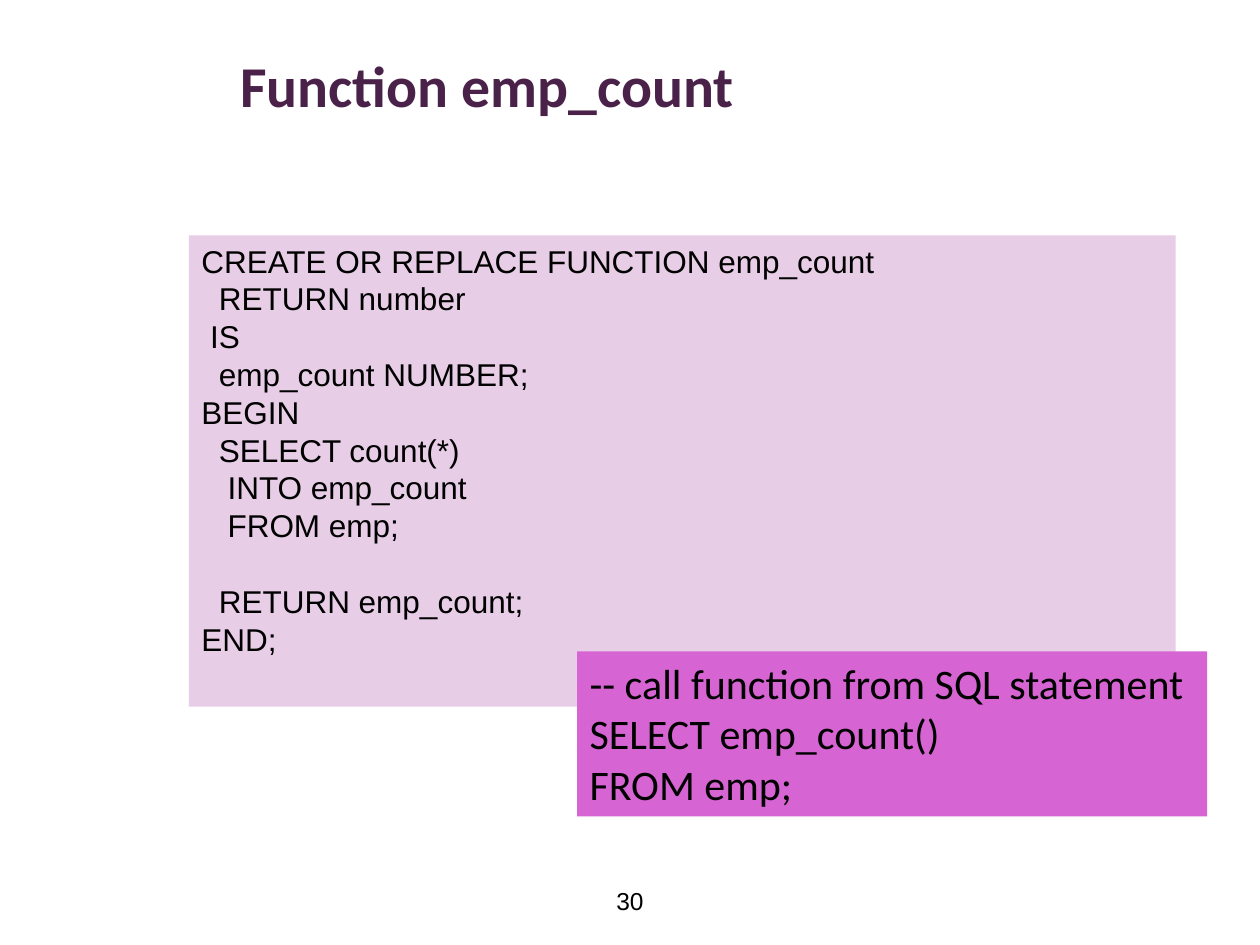
from pptx import Presentation
from pptx.dml.color import RGBColor
from pptx.enum.shapes import MSO_SHAPE
from pptx.enum.text import MSO_ANCHOR, PP_ALIGN
from pptx.util import Pt

PLUM = RGBColor(0x4A, 0x22, 0x49)
LILAC = RGBColor(0xE8, 0xCD, 0xE7)
ORCHID = RGBColor(0xD6, 0x65, 0xD3)
BLACK = RGBColor(0, 0, 0)

CODE_LEADING = 21.6
INDENT_STEP = 5

# (indent steps, statement, blank lines above)
FUNCTION_CODE = [
    (0, "CREATE OR REPLACE FUNCTION emp_count", 0),
    (2, "RETURN number", 0),
    (1, "IS", 0),
    (2, "emp_count NUMBER;", 0),
    (0, "BEGIN", 0),
    (2, "SELECT count(*)", 0),
    (3, "INTO emp_count", 0),
    (3, "FROM emp;", 0),
    (2, "RETURN emp_count;", 1),
    (0, "END;", 0),
]
CALL_CODE = [
    "-- call function from SQL statement",
    "SELECT emp_count()",
    "FROM emp;",
]


def style(paragraph, font_name, size, color=BLACK, bold=False):
    font = paragraph.font
    font.name, font.size, font.bold = font_name, Pt(size), bold
    font.color.rgb = color


def add_label(slide, box, text, font_name, size, color=BLACK, bold=False):
    """Add one vertically centred line of text and return its paragraph."""
    frame = slide.shapes.add_textbox(*map(Pt, box)).text_frame
    frame.word_wrap = True
    frame.vertical_anchor = MSO_ANCHOR.MIDDLE
    line = frame.paragraphs[0]
    line.text = text
    style(line, font_name, size, color, bold)
    return line


def add_code_panel(slide, box, fill, lines, font_name, size):
    """Add a filled panel with one paragraph per line and return the paragraphs."""
    panel = slide.shapes.add_shape(MSO_SHAPE.RECTANGLE, *map(Pt, box))
    panel.shadow.inherit = False
    panel.fill.solid()
    panel.fill.fore_color.rgb = fill
    panel.line.fill.background()
    frame = panel.text_frame
    frame.word_wrap = True
    frame.vertical_anchor = MSO_ANCHOR.TOP
    frame.text = "\n".join(lines)
    for line in frame.paragraphs:
        line.alignment = PP_ALIGN.LEFT
        style(line, font_name, size)
    return frame.paragraphs


def add_title(slide, box):
    add_label(slide, box, "Function emp_count", "Calibri", 33, PLUM, True).line_spacing = 0.9


def add_page_number(slide, box):
    add_label(slide, box, "30", "Arial", 14).alignment = PP_ALIGN.CENTER


def add_function_code(slide, box):
    statements = [statement for _, statement, _ in FUNCTION_CODE]
    lines = add_code_panel(slide, box, LILAC, statements, "Arial", 18)
    for line, (indent, _, blank_lines) in zip(lines, FUNCTION_CODE):
        line.line_spacing = Pt(CODE_LEADING)
        line.space_before = Pt(blank_lines * CODE_LEADING)
        line._p.get_or_add_pPr().set("marL", str(Pt(indent * INDENT_STEP)))


def add_call_code(slide, box):
    add_code_panel(slide, box, ORCHID, CALL_CODE, "Calibri", 24)


def main():
    deck = Presentation()
    deck.slide_width, deck.slide_height = Pt(720), Pt(540)
    slide = deck.slides.add_slide(deck.slide_layouts[6])
    add_title(slide, (130.3, -1.4, 620.6, 104.4))
    add_page_number(slide, (238.3, 500.4, 243.4, 28.8))
    add_function_code(slide, (108, 134.6, 563.8, 269.3))
    add_call_code(slide, (329.8, 372.2, 360, 94.3))
    deck.save("out.pptx")


if __name__ == "__main__":
    main()
